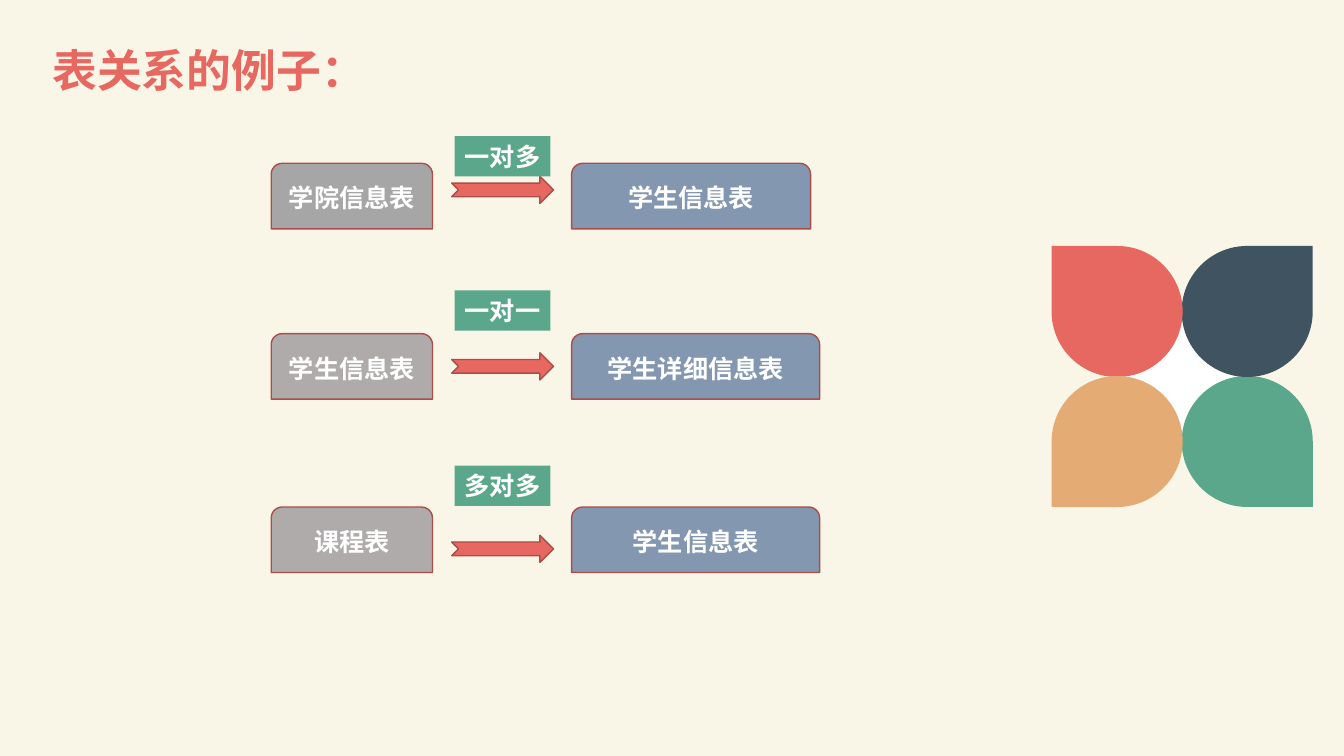
from collections import namedtuple
from dataclasses import dataclass

from lxml import etree
from pptx import Presentation
from pptx.dml.color import RGBColor
from pptx.enum.shapes import MSO_SHAPE
from pptx.enum.text import MSO_ANCHOR, MSO_AUTO_SIZE, PP_ALIGN
from pptx.oxml.ns import qn
from pptx.util import Inches, Pt

CIRCLE = MSO_SHAPE.OVAL
PETAL = MSO_SHAPE.TEAR
TABLE_BOX = MSO_SHAPE.ROUND_2_SAME_RECTANGLE
ARROW = MSO_SHAPE.NOTCHED_RIGHT_ARROW
LABEL_BOX = MSO_SHAPE.RECTANGLE
LEFT, CENTER = PP_ALIGN.LEFT, PP_ALIGN.CENTER
TOP, MIDDLE = MSO_ANCHOR.TOP, MSO_ANCHOR.MIDDLE
FIT_SHAPE = MSO_AUTO_SIZE.SHAPE_TO_FIT_TEXT


@dataclass(frozen=True)
class Theme:
    """Colours, fonts and type sizes of the slide."""
    background: str = "F9F6E7"
    coral: str = "E76861"
    navy: str = "3F5361"
    green: str = "5BA78C"
    sand: str = "E5AB74"
    white: str = "FFFFFF"
    outline: str = "AB4D48"
    grey: str = "A6A6A6"
    warm_grey: str = "AFABAB"
    blue: str = "8497B0"
    latin_font: str = "Calibri"
    cjk_font: str = "Noto Sans CJK SC"
    title_size: int = 32
    body_size: int = 18
    outline_width: int = 1


THEME = Theme()
Relation = namedtuple(
    "Relation", "source target kind box_top arrow_top label_top target_width source_fill")
RELATIONS = (
    Relation("学院信息表", "学生信息表", "一对多", 1.62, 1.75, 1.35, 2.37, THEME.grey),
    Relation("学生信息表", "学生详细信息表", "一对一", 3.31, 3.5, 2.88, 2.46, THEME.warm_grey),
    Relation("课程表", "学生信息表", "多对多", 5.03, 5.31, 4.62, 2.46, THEME.warm_grey),
)


def add_block(slide, preset, box, fill, outlined=False):
    """Add a flat preset shape at box, given in inches."""
    block = slide.shapes.add_shape(preset, *map(Inches, box))
    block.shadow.inherit = False
    block.fill.solid()
    block.fill.fore_color.rgb = RGBColor.from_string(fill)
    if outlined:
        block.line.color.rgb = RGBColor.from_string(THEME.outline)
        block.line.width = Pt(THEME.outline_width)
    else:
        block.line.fill.background()
    return block


def write(holder, text, size, color, font, align, anchor):
    """Write one bold line of text into a shape."""
    frame = holder.text_frame
    frame.word_wrap = True
    frame.vertical_anchor = anchor
    frame.text = text
    line = frame.paragraphs[0]
    line.alignment = align
    run = line.runs[0]
    run.font.size = Pt(size)
    run.font.bold = True
    run.font.color.rgb = RGBColor.from_string(color)
    run.font.name = font
    east_asian = etree.SubElement(run._r.get_or_add_rPr(), qn("a:ea"))
    east_asian.set("typeface", THEME.cjk_font)
    return frame


def add_title(slide, text):
    """Add the slide heading."""
    title = slide.shapes.add_textbox(*map(Inches, (0.42, 0.19, 12.29, 1.06)))
    frame = write(title, text, THEME.title_size, THEME.coral, THEME.cjk_font, LEFT, MIDDLE)
    frame.paragraphs[0].line_spacing = 0.9


def add_flower(slide):
    """Add four petals around a white centre."""
    left, top, size = 10.43, 2.44, 1.3
    pitch = 1.29
    add_block(slide, CIRCLE, (11.09, 3.09, 1.25, 1.25), THEME.white)
    petals = (
        (1, 1, 90, THEME.green),
        (1, 0, 0, THEME.navy),
        (0, 0, 270, THEME.coral),
        (0, 1, 180, THEME.sand),
    )
    for column, row, angle, fill in petals:
        box = (left + column * pitch, top + row * pitch, size, size)
        add_block(slide, PETAL, box, fill).rotation = angle


def add_table_box(slide, text, left, top, width, fill):
    """Add a rounded box that names a database table."""
    table_box = add_block(slide, TABLE_BOX, (left, top, width, 0.65), fill, outlined=True)
    write(table_box, text, THEME.body_size, THEME.white, THEME.latin_font, CENTER, MIDDLE)


def add_label(slide, text, top):
    """Add the green label that names the kind of relation."""
    label = add_block(slide, LABEL_BOX, (4.51, top, 0.95, 0.4), THEME.green)
    frame = write(label, text, THEME.body_size, THEME.white, THEME.latin_font, LEFT, TOP)
    frame.word_wrap = False
    frame.auto_size = FIT_SHAPE


def add_relation(slide, relation):
    """Add two table boxes joined by an arrow and its label."""
    add_table_box(slide, relation.source, 2.69, relation.box_top, 1.6, relation.source_fill)
    add_table_box(slide, relation.target, 5.67, relation.box_top, relation.target_width, THEME.blue)
    add_block(slide, ARROW, (4.48, relation.arrow_top, 1.01, 0.27), THEME.coral, outlined=True)
    add_label(slide, relation.kind, relation.label_top)


def main():
    """Build and save the slide."""
    deck = Presentation()
    deck.slide_width, deck.slide_height = Inches(13.33), Inches(7.5)
    slide = deck.slides.add_slide(deck.slide_layouts[6])
    slide.background.fill.solid()
    slide.background.fill.fore_color.rgb = RGBColor.from_string(THEME.background)
    add_flower(slide)
    add_title(slide, "表关系的例子：")
    for relation in RELATIONS:
        add_relation(slide, relation)
    deck.save("out.pptx")


main()
